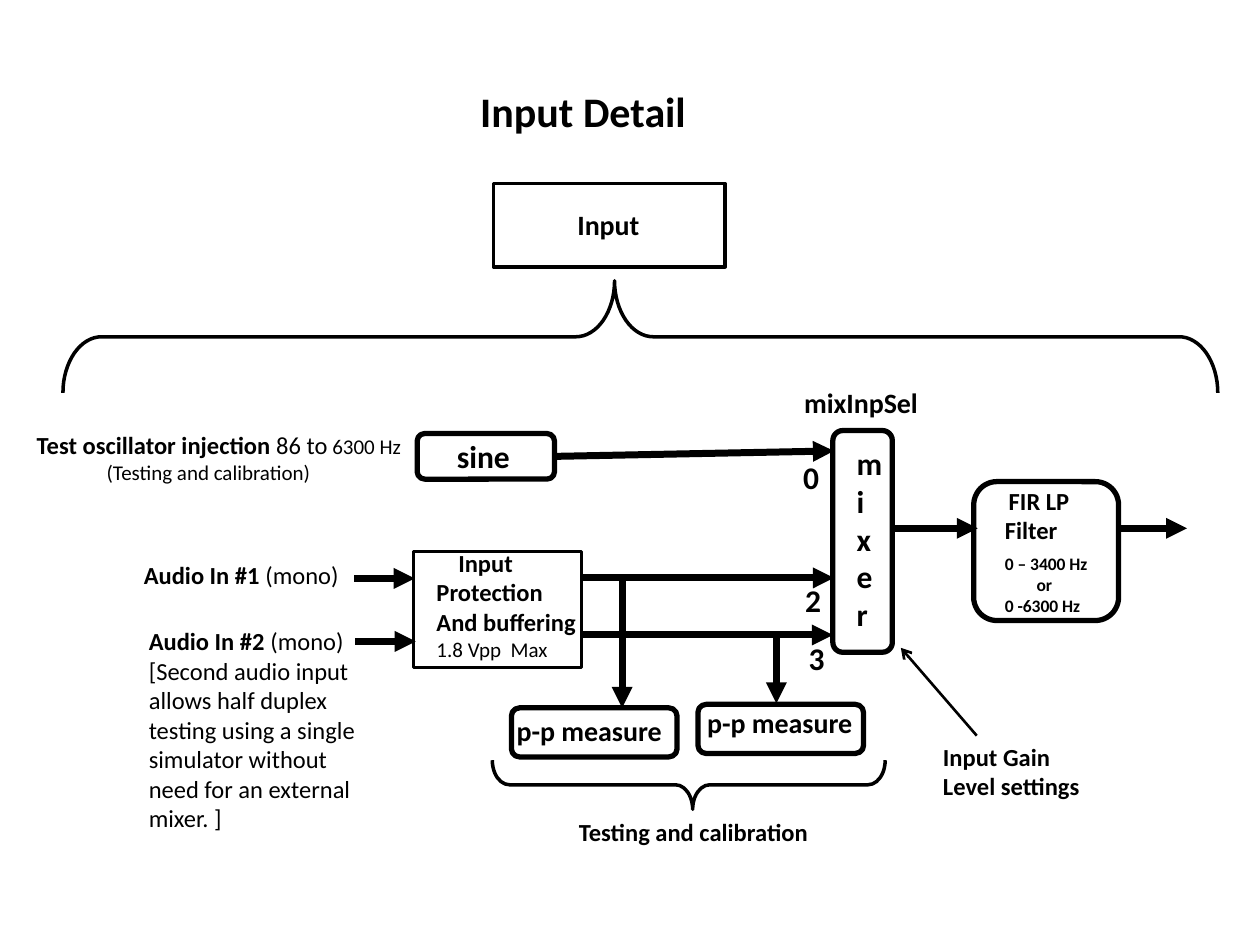
"""Build the Input Detail slide: a block diagram of the audio input path."""
from math import cos, pi, sin

from lxml import etree
from pptx import Presentation
from pptx.dml.color import RGBColor as Rgb
from pptx.enum.shapes import MSO_CONNECTOR as Link, MSO_SHAPE as Kind
from pptx.enum.text import MSO_ANCHOR as Anchor, PP_ALIGN as Align
from pptx.oxml.ns import qn
from pptx.util import Cm, Pt

COLORS = {"ink": "000000", "paper": "FFFFFF"}
INK = Rgb.from_string(COLORS["ink"])
PAPER = Rgb.from_string(COLORS["paper"])


def write(frame, text, size=14, bold=True, align=Align.LEFT, indent=0, before=0, join=False):
    para = frame.paragraphs[-1]
    if para.runs and not join:
        para = frame.add_paragraph()
    if not join:
        para.alignment = align
        para.space_before = Pt(before)
        para._p.get_or_add_pPr().set("marL", "0")
        para._p.get_or_add_pPr().set("indent", str(Cm(indent)))
    span = para.add_run()
    span.text = text
    span.font.name = "Calibri"
    span.font.size = Pt(size)
    span.font.bold = bold
    span.font.color.rgb = INK


def set_frame(frame, left=0, right=0, lift=0, anchor=Anchor.MIDDLE):
    frame.word_wrap = True
    frame.vertical_anchor = anchor
    frame.margin_left, frame.margin_right = Cm(left), Cm(right)
    frame.margin_top, frame.margin_bottom = 0, Cm(lift)


deck = Presentation()
deck.slide_width, deck.slide_height = Cm(25.4), Cm(19.05)
page = deck.slides.add_slide(deck.slide_layouts[5])
page.background.fill.solid()
page.background.fill.fore_color.rgb = PAPER

title = page.shapes.title
title.left, title.top, title.width, title.height = Cm(4.67), Cm(1.6), Cm(14.17), Cm(1.27)
set_frame(title.text_frame)
write(title.text_frame, "Input Detail", size=24, align=Align.CENTER)

tip_x, bar_y, curve_x, curve_y = 12.39, 6.79, 0.78, 1.13
angles = [step * pi / 32 for step in range(17)]
halves = []
for foot_x, side in ((1.27, 1), (24.55, -1)):
    foot = [(foot_x + side * curve_x * (1 - cos(angle)), bar_y + curve_y * (1 - sin(angle)))
            for angle in angles]
    peak = [(tip_x - side * curve_x * (1 - sin(angle)), bar_y - curve_y * (1 - cos(angle)))
            for angle in angles]
    halves.append(foot + peak)
outline = [(Cm(x), Cm(y)) for x, y in halves[0] + halves[1][::-1]]
builder = page.shapes.build_freeform(*outline[0])
builder.add_line_segments(outline[1:], close=False)
input_brace = builder.convert_to_shape()
test_brace = page.shapes.add_shape(Kind.LEFT_BRACE, Cm(13.39), Cm(11.86), Cm(0.99), Cm(7.92))
test_brace.rotation = 270
test_brace.adjustments[0], test_brace.adjustments[1] = 0.35, 0.51
for brace in (input_brace, test_brace):
    brace.shadow.inherit = False
    brace.fill.background()
    brace.line.color.rgb = INK
    brace.line.width = Pt(2)

middle = {"align": Align.CENTER}
meter = [("p-p measure", {"size": 16, **middle})]
blocks = [
    (Kind.RECTANGLE, 9.95, 3.7, 4.67, 1.68, 2, 0, 0.04, 0.02,
     [("Input", {"size": 16, **middle})]),
    (Kind.RECTANGLE, 8.34, 11.12, 3.38, 2.34, 2, 0.46, 0, 0.2,
     [("Input Protection", {"indent": 0.44}),
      ("And buffering", {}),
      ("1.8 Vpp  Max", {"size": 12, "bold": False})]),
    (Kind.ROUNDED_RECTANGLE, 16.79, 8.68, 1.2, 4.47, 3, 0.42, 0.55, 0.12,
     [("mixer", {"size": 18})]),
    (Kind.ROUNDED_RECTANGLE, 19.63, 9.71, 2.92, 2.8, 3, 0.49, 0, 0,
     [("FIR LP", {"indent": 0.08}),
      ("Filter", {}),
      ("0 – 3400 Hz", {"size": 10, "before": 5}),
      ("or", {"size": 10, "indent": 0.64}),
      ("0 -6300 Hz", {"size": 10})]),
    (Kind.ROUNDED_RECTANGLE, 10.31, 14.27, 3.34, 0.99, 3, 0, 0.2, 0.1, meter),
    (Kind.ROUNDED_RECTANGLE, 14.07, 14.2, 3.34, 0.99, 3, 0, 0.04, 0.26, meter),
    (Kind.ROUNDED_RECTANGLE, 8.41, 8.74, 2.77, 0.92, 3, 0, 0.1, 0,
     [("sine", {"size": 18, **middle})]),
]
for kind, left, top, width, height, weight, inset, outset, lift, lines in blocks:
    box = page.shapes.add_shape(kind, Cm(left), Cm(top), Cm(width), Cm(height))
    box.shadow.inherit = False
    box.fill.solid()
    box.fill.fore_color.rgb = PAPER
    box.line.color.rgb = INK
    box.line.width = Pt(weight)
    set_frame(box.text_frame, inset, outset, lift)
    for text, style in lines:
        write(box.text_frame, text, **style)
sine_box = box

plain = {"bold": False}
labels = [
    (16.21, 7.77, 2.6, 0.69, [("mixInpSel", {"size": 16})]),
    (16.19, 9.23, 0.5, 0.77, [("0", {"size": 18})]),
    (16.23, 11.71, 0.5, 0.77, [("2", {"size": 18})]),
    (16.3, 12.88, 0.5, 0.77, [("3", {"size": 18})]),
    (0.74, 8.66, 7.6, 1.12, [("Test oscillator injection ", {}),
                             ("86 to", {"join": True, **plain}),
                             (" 6300 Hz", {"join": True, "size": 12, **plain}),
                             ("(Testing and calibration)",
                              {"size": 12, "indent": 1.41, "before": 0.5, **plain})]),
    (2.9, 11.28, 4.27, 0.6, [("Audio In #1 ", {}), ("(mono)", {"join": True, **plain})]),
    (3, 12.63, 4.27, 4.19, [("Audio In #2 ", {}),
                            ("(mono)", {"join": True, **plain}),
                            ("[Second audio input allows half duplex testing using a single "
                             "simulator without need for an external mixer. ]", plain)]),
    (19.01, 14.96, 2.92, 1.2, [("Input Gain Level settings", {})]),
    (11.67, 16.48, 5, 0.6, [("Testing and calibration", {})]),
]
for left, top, width, height, lines in labels:
    label = page.shapes.add_textbox(Cm(left), Cm(top), Cm(width), Cm(height))
    set_frame(label.text_frame, anchor=Anchor.TOP)
    for text, style in lines:
        write(label.text_frame, text, **style)

arrows = [
    (11.18, 9.2, 16.81, 9.09, 4, "triangle", sine_box),
    (11.71, 11.65, 16.81, 11.65, 4, "triangle", None),
    (11.71, 12.8, 16.79, 12.8, 4, "triangle", None),
    (7.14, 11.66, 8.36, 11.66, 4, "triangle", None),
    (7.16, 12.93, 8.38, 12.93, 4, "triangle", None),
    (18.03, 10.65, 19.71, 10.65, 4, "triangle", None),
    (22.55, 10.65, 23.93, 10.65, 4, "triangle", None),
    (12.54, 11.6, 12.54, 14.27, 4, "triangle", None),
    (15.65, 12.8, 15.65, 14.18, 4, "triangle", None),
    (19.69, 14.83, 18.16, 13.06, 1.5, "arrow", None),
]
for x1, y1, x2, y2, weight, tip, source in arrows:
    arrow = page.shapes.add_connector(Link.STRAIGHT, Cm(x1), Cm(y1), Cm(x2), Cm(y2))
    if source:
        arrow.begin_connect(source, 3)
    arrow.line.color.rgb = INK
    arrow.line.width = Pt(weight)
    etree.SubElement(arrow.line._get_or_add_ln(), qn("a:tailEnd"), type=tip)
    etree.SubElement(arrow._element.spPr, qn("a:effectLst"))

deck.save("out.pptx")
